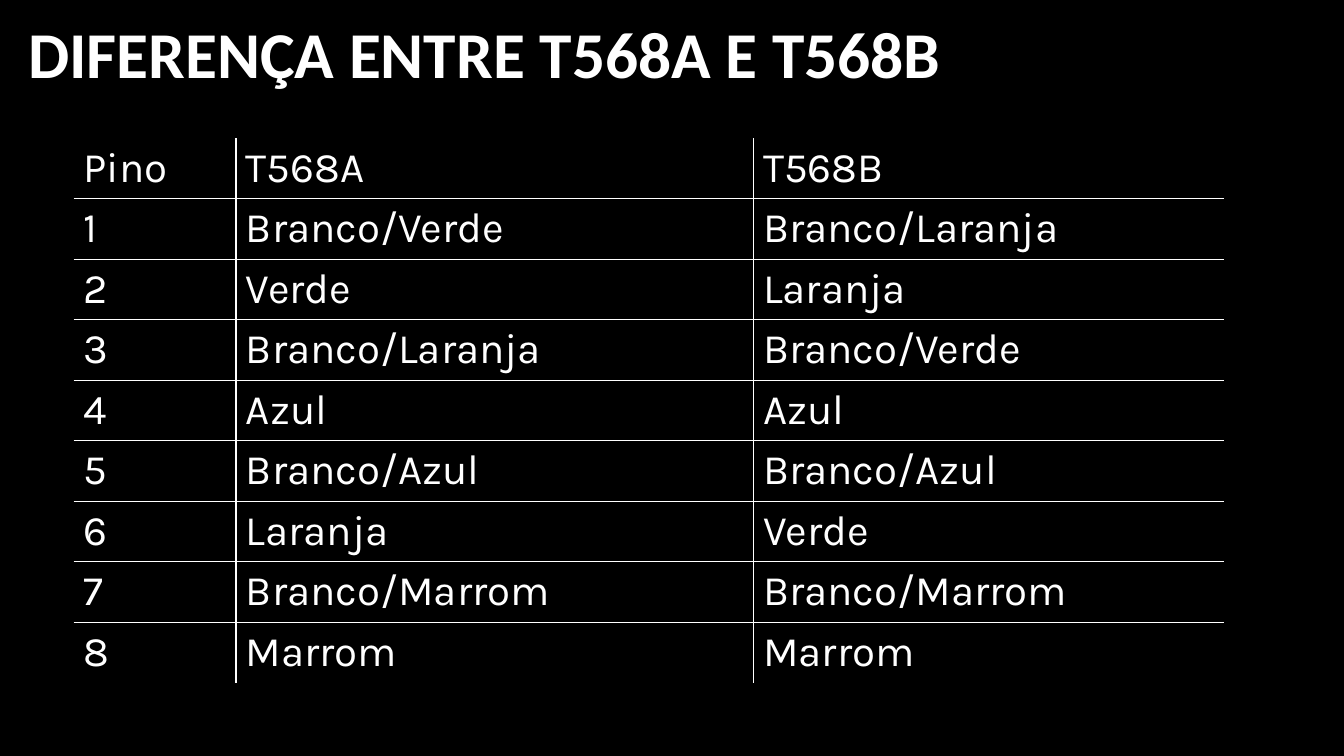
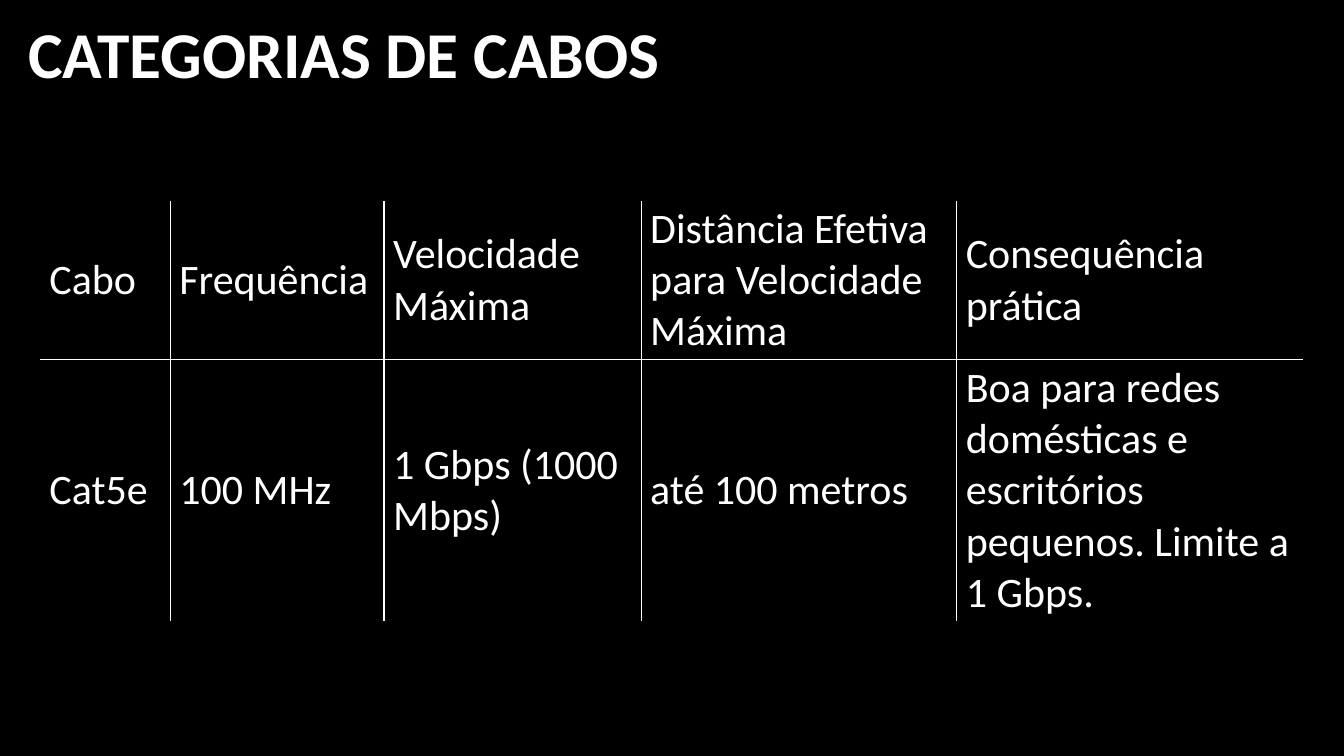
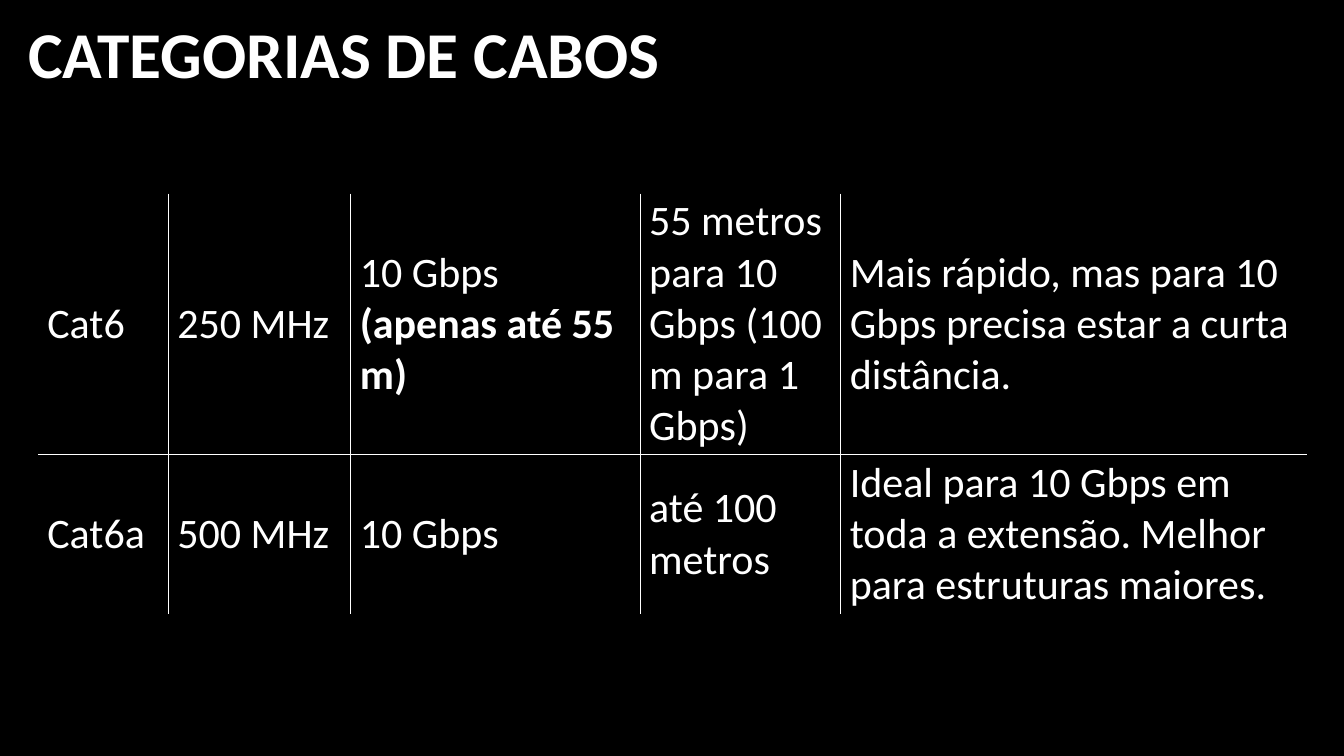
import lxml.etree
import pptx
import pptx.dml.color
import pptx.enum.text
import pptx.oxml.ns
import pptx.util

Inches = pptx.util.Inches
Pt = pptx.util.Pt
qn = pptx.oxml.ns.qn

BLACK = "000000"
WHITE = "FFFFFF"
TITLE_ONLY = 5

PINOUT = [
    ("Pino", "T568A", "T568B"),
    ("1", "Branco/Verde", "Branco/Laranja"),
    ("2", "Verde", "Laranja"),
    ("3", "Branco/Laranja", "Branco/Verde"),
    ("4", "Azul", "Azul"),
    ("5", "Branco/Azul", "Branco/Azul"),
    ("6", "Laranja", "Verde"),
    ("7", "Branco/Marrom", "Branco/Marrom"),
    ("8", "Marrom", "Marrom"),
]
BASIC_CABLES = [
    ("Cabo", "Frequência", "Velocidade Máxima",
     "Distância Efetiva para Velocidade Máxima", "Consequência prática"),
    ("Cat5e", "100 MHz", "1 Gbps (1000 Mbps)", "até 100 metros",
     "Boa para redes domésticas e escritórios pequenos. Limite a 1 Gbps."),
]
FAST_CABLES = [
    ("Cat6", "250 MHz", ("10 Gbps ", "(apenas até 55 m)"),
     "55 metros para 10 Gbps (100 m para 1 Gbps)",
     "Mais rápido, mas para 10 Gbps precisa estar a curta distância."),
    ("Cat6a", "500 MHz", "10 Gbps", "até 100 metros",
     "Ideal para 10 Gbps em toda a extensão. Melhor para estruturas maiores."),
]


def color(value):
    return pptx.dml.color.RGBColor.from_string(value)


class Deck:
    """Holds the shared style and the slide being filled."""

    title_font = "Calibri"
    title_size = 46.7
    cell_size = 30
    rule_width = 1

    def __init__(self):
        self.presentation = pptx.Presentation()
        self.presentation.slide_width = Inches(13.33)
        self.presentation.slide_height = Inches(7.5)
        backdrop = self.presentation.slide_master.background.fill
        backdrop.solid()
        backdrop.fore_color.rgb = color(BLACK)
        self.slide = None

    def add_slide(self, heading):
        layout = self.presentation.slide_layouts[TITLE_ONLY]
        self.slide = self.presentation.slides.add_slide(layout)
        title = self.slide.shapes.title
        title.left, title.top = Inches(0.18), Inches(0.08)
        title.width, title.height = Inches(10.12), Inches(0.89)
        frame = title.text_frame
        frame.text = heading
        frame.word_wrap = True
        frame.auto_size = pptx.enum.text.MSO_AUTO_SIZE.SHAPE_TO_FIT_TEXT
        frame.vertical_anchor = pptx.enum.text.MSO_ANCHOR.TOP
        paragraph = frame.paragraphs[0]
        paragraph.alignment = pptx.enum.text.PP_ALIGN.LEFT
        self.style_font(paragraph.font, self.title_font, self.title_size)
        paragraph.font.bold = True

    def style_font(self, font, name, size):
        font.name = name
        font.size = Pt(size)
        font.color.rgb = color(WHITE)

    def add_grid(self, left, top, widths, heights, rows, font_name, margins):
        """Add a table ruled only between cells; margins are (side, top and bottom)."""
        table = self.slide.shapes.add_table(
            len(rows), len(widths), Inches(left), Inches(top),
            Inches(sum(widths)), Inches(sum(heights))).table
        table.first_row = table.horz_banding = False
        for column, width in zip(table.columns, widths):
            column.width = Inches(width)
        for row, height in zip(table.rows, heights):
            row.height = Inches(height)
        last_row, last_column = len(rows) - 1, len(widths) - 1
        for r, texts in enumerate(rows):
            for c, text in enumerate(texts):
                cell = table.cell(r, c)
                self.fill_cell(cell, text, font_name, margins)
                self.rule_cell(cell, {"lnL": c > 0, "lnR": c < last_column,
                                      "lnT": r > 0, "lnB": r < last_row})
                cell.fill.background()

    def fill_cell(self, cell, text, font_name, margins):
        """Write text, or a (plain, bold) pair, into a cell."""
        cell.vertical_anchor = pptx.enum.text.MSO_ANCHOR.MIDDLE
        cell.margin_left = cell.margin_right = Inches(margins[0])
        cell.margin_top = cell.margin_bottom = Inches(margins[1])
        paragraph = cell.text_frame.paragraphs[0]
        self.style_font(paragraph.font, font_name, self.cell_size)
        plain, emphasis = (text, "") if isinstance(text, str) else text
        paragraph.add_run().text = plain
        if emphasis:
            strong = paragraph.add_run()
            strong.text = emphasis
            strong.font.bold = True

    def rule_cell(self, cell, edges):
        """Draw the edges marked True and clear the others."""
        properties = cell._tc.get_or_add_tcPr()
        for edge, visible in edges.items():
            rule = lxml.etree.SubElement(
                properties, qn("a:" + edge), w=str(Pt(self.rule_width)))
            if visible:
                fill = lxml.etree.SubElement(rule, qn("a:solidFill"))
                lxml.etree.SubElement(fill, qn("a:srgbClr"), val=WHITE)
            else:
                lxml.etree.SubElement(rule, qn("a:noFill"))


def main():
    deck = Deck()
    deck.add_slide("DIFERENÇA ENTRE T568A E T568B")
    deck.add_grid(0.73, 1.37, [1.61, 5.13, 4.67], [0.6] * len(PINOUT),
                  PINOUT, "Karla", (0.1, 0.05))

    cable_margins = (0.09, 0.02)
    deck.add_slide("CATEGORIAS DE CABOS")
    deck.add_grid(0.4, 1.99, [1.29, 2.12, 2.55, 3.13, 3.43], [1.58, 2.59],
                  BASIC_CABLES, "Calibri", cable_margins)

    deck.add_slide("CATEGORIAS DE CABOS")
    deck.add_grid(0.38, 1.92, [1.29, 1.81, 2.87, 1.99, 4.62], [2.59, 1.58],
                  FAST_CABLES, "Calibri", cable_margins)
    deck.presentation.save("out.pptx")


if __name__ == "__main__":
    main()
